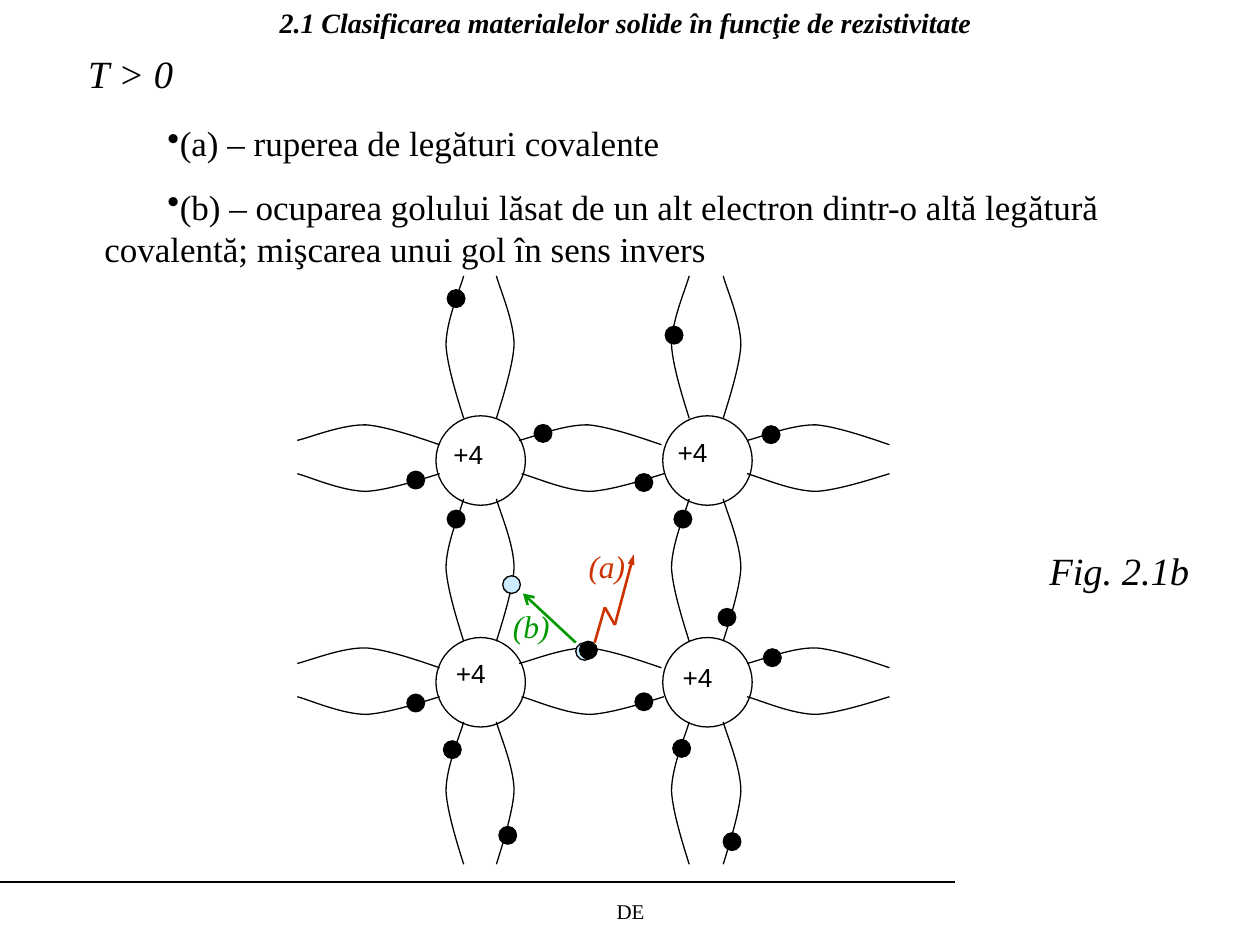
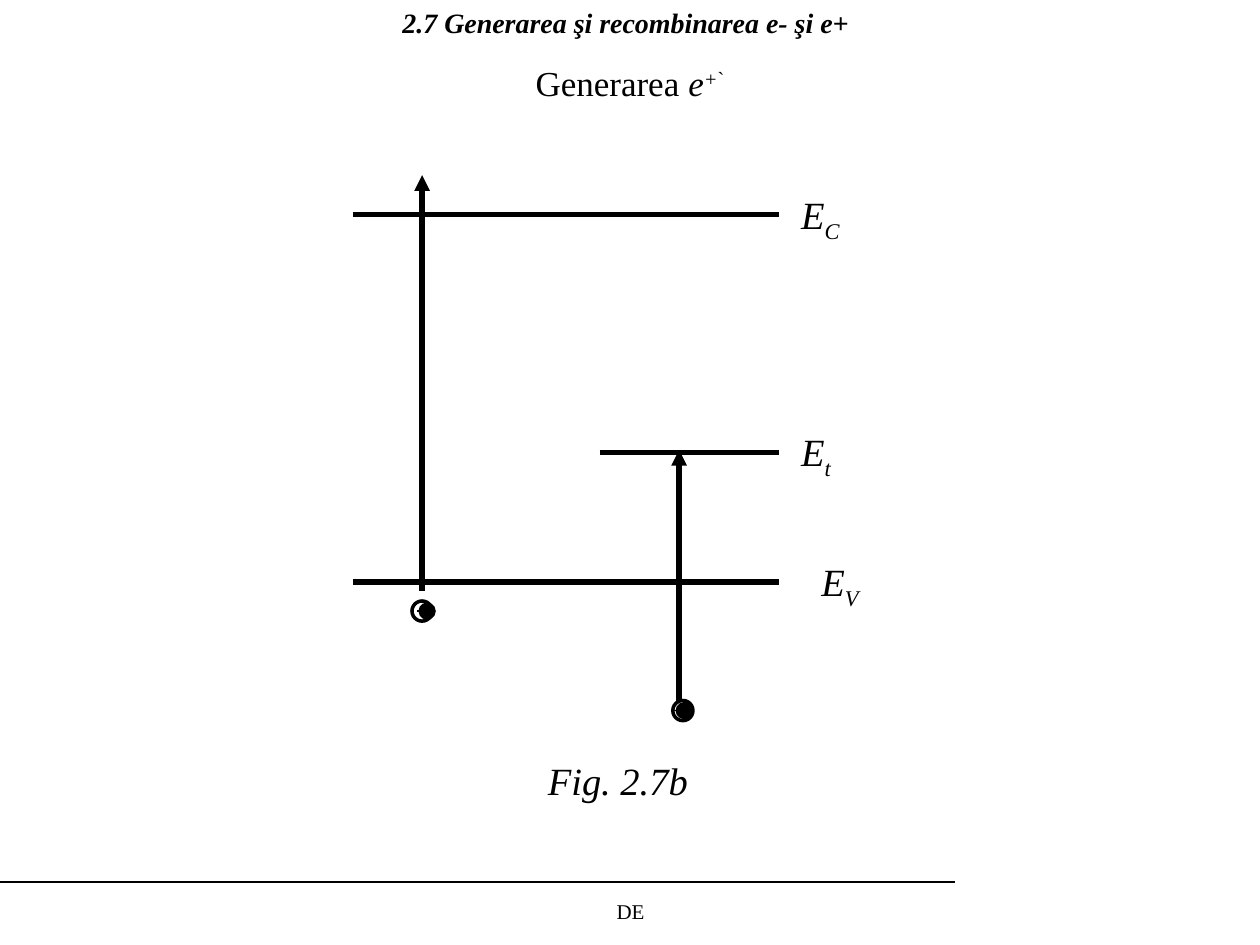
from lxml import etree
from pptx import Presentation
from pptx.dml.color import RGBColor
from pptx.enum.shapes import MSO_CONNECTOR, MSO_SHAPE
from pptx.enum.text import MSO_ANCHOR, PP_ALIGN
from pptx.oxml.ns import qn
from pptx.util import Inches, Pt

SERIF, SANS = "Times New Roman", "Arial"
BLACK, WHITE, HOLE_BLUE, GREEN, RED = "000000", "FFFFFF", "CCECFF", "009900", "CC3300"

LATTICE_TITLE = "2.1 Clasificarea materialelor solide în funcţie de rezistivitate"
PROCESSES = [
    "(a) – ruperea de legături covalente",
    "(b) – ocuparea golului lăsat de un alt electron dintr-o altă legătură "
    "covalentă; mişcarea unui gol în sens invers",
]
LATTICE_LABELS = [
    ("T > 0", (0.6, 0.35, 1.05, 0.47)),
    ("Fig. 2.1b", (8.23, 4.29, 1.5, 0.47)),
]
STEP_LABELS = [
    ("(b)", (3.87, 4.77, 0.59, 0.4), GREEN),
    ("(a)", (4.47, 4.29, 0.59, 0.4), RED),
]
ION_CHARGE = "+4"
CHARGE_PLACES = [(3.5, 3.43), (5.28, 3.41), (5.32, 5.2), (3.52, 5.17)]
ION_COLUMNS, ION_ROWS, ION_SIZE = (3.46, 5.26), (3.3, 5.06), 0.71

BOND_ALONG = (0, 0.1, 0.4, 0.58, 0.77, 1.02, 1.13)
BOND_BULGE = (0, 0.03, 0.13, 0.14, 0.14, 0.03, 0)
UP, LEFT = (0, -1), (-1, 0)
BONDS = [
    {"run": UP, "out": (-1, 0), "tilt": 0, "xs": (3.68, 5.47), "ys": (3.32, 5.09, 6.86)},
    {"run": UP, "out": (1, 0), "tilt": 0, "xs": (3.94, 5.74), "ys": (3.32, 5.09, 6.86)},
    {"run": LEFT, "out": (0, -1), "tilt": 0.03, "xs": (3.49, 5.25, 7.06), "ys": (3.53, 5.3)},
    {"run": LEFT, "out": (0, 1), "tilt": 0, "xs": (3.49, 5.27, 7.06), "ys": (3.76, 5.53)},
]
ELECTRON_SIZE = 0.14
ELECTRONS = [
    (3.23, 3.74), (3.23, 5.51), (3.96, 6.56), (5.74, 6.61), (5.35, 4.05), (5.7, 4.83),
    (3.55, 4.05), (5.28, 2.59), (3.55, 2.3), (6.05, 3.38), (6.06, 5.15), (5.04, 3.76),
    (5.04, 5.5), (4.24, 3.37), (3.52, 5.88), (5.34, 5.87),
]
FREED_ELECTRON = (4.6, 5.09)
HOLES = [(4.57, 5.1), (3.99, 4.57)]
HOLE_FILLING = ((4.57, 5.1), (4.15, 4.71))
BOND_BREAKING = [(4.72, 5.1), (4.8, 4.82), (4.88, 4.96), (5.03, 4.4)]

GENERATION_TITLE = "2.7 Generarea şi recombinarea e- şi e+"
GENERATION_HEADING = [
    ("Generarea ", False, 0), ("e", True, 0), ("+", True, 30), ("`", False, 30),
]
ENERGY_LEVELS = [
    ("C", 2.8, 1.7, (6.26, 1.47)),
    ("t", 4.76, 3.59, (6.26, 3.35)),
    ("V", 2.8, 4.62, (6.42, 4.38)),
]
LEVEL_END = 6.18
TRANSITIONS = [((3.35, 4.69), (3.35, 1.39)), ((5.39, 5.56), (5.39, 3.57))]
HOLE_PLACES = [(3.27, 4.77, 3.31), (5.34, 5.56, 5.35)]
HOLE_SIZE = 0.16
GENERATION_CAPTION = ("Fig. 2.7b", (4.25, 5.96, 1.49, 0.47))


def rgb(hex_color):
    return RGBColor.from_string(hex_color)


def add_text(slide, box, paragraphs, size, color=BLACK, font=SERIF, bold=None,
             italic=None, align=None, anchor=MSO_ANCHOR.TOP):
    """Add a text box; a paragraph is a string or a list of (text, italic, baseline)."""
    frame = slide.shapes.add_textbox(*map(Inches, box)).text_frame
    frame.word_wrap = True
    frame.vertical_anchor = anchor
    for index, content in enumerate(paragraphs):
        paragraph = frame.add_paragraph() if index else frame.paragraphs[0]
        paragraph.alignment = align
        runs = [(content, None, 0)] if isinstance(content, str) else content
        for words, slanted, baseline in runs:
            run = paragraph.add_run()
            run.text = words
            run.font.italic = slanted
            if baseline:
                run.font._element.set("baseline", str(baseline * 1000))
        style_font(paragraph.font, size, color, font, bold, italic)
    return frame


def style_font(font, size, color, name, bold, italic):
    font.size, font.name, font.bold, font.italic = Pt(size), name, bold, italic
    font.color.rgb = rgb(color)


def add_line(slide, start, end, color=BLACK, width=0.75, tip=None, tip_width="med", tip_length="med"):
    connector = slide.shapes.add_connector(
        MSO_CONNECTOR.STRAIGHT, *map(Inches, (*start, *end)))
    connector.line.color.rgb = rgb(color)
    connector.line.width = Pt(width)
    if tip:
        etree.SubElement(connector.line._get_or_add_ln(), qn("a:tailEnd"),
                         type=tip, w=tip_width, len=tip_length)
    etree.SubElement(connector._element.spPr, qn("a:effectLst"))


def outline(shape, fill, width):
    shape.shadow.inherit = False
    if fill:
        shape.fill.solid()
        shape.fill.fore_color.rgb = rgb(fill)
    else:
        shape.fill.background()
    shape.line.color.rgb = rgb(BLACK)
    shape.line.width = Pt(width)


def add_circle(slide, place, size, fill=None, width=0.75):
    circle = slide.shapes.add_shape(
        MSO_SHAPE.OVAL, *map(Inches, (*place, size, size)))
    outline(circle, fill, width)


def add_curve(slide, points):
    """Draw a chain of cubic curves through a start point and triples of points."""
    corners = [(Inches(x), Inches(y)) for x, y in points]
    builder = slide.shapes.build_freeform(*corners[0])
    builder.add_line_segments(corners[1:], close=False)
    curve = builder.convert_to_shape()
    segments = list(curve._element.iter(qn("a:lnTo")))
    for first in range(0, len(segments), 3):
        bezier = etree.Element(qn("a:cubicBezTo"))
        segments[first].addprevious(bezier)
        for segment in segments[first:first + 3]:
            bezier.append(segment[0])
            segment.getparent().remove(segment)
    outline(curve, None, 0.75)


def add_bond(slide, x, y, run, out, tilt):
    add_curve(slide, [
        (x + run[0] * along + out[0] * (bulge + tilt * along),
         y + run[1] * along + out[1] * (bulge + tilt * along))
        for along, bulge in zip(BOND_ALONG, BOND_BULGE)])


def start_slide(deck, title):
    slide = deck.slides.add_slide(deck.slide_layouts[6])
    add_line(slide, (0, 7), (7.58, 7))
    add_text(slide, (3.42, 7.08, 3.17, 0.27), ["DE"], 12, align=PP_ALIGN.CENTER)
    add_text(slide, (0.32, 0, 9.29, 0.36), [title], 16, bold=True, italic=True,
             align=PP_ALIGN.CENTER, anchor=MSO_ANCHOR.MIDDLE)
    return slide


def add_processes(slide):
    frame = add_text(slide, (0.5, 0.75, 9.5, 1.44), PROCESSES, 20)
    for paragraph in frame.paragraphs:
        properties = paragraph._p.get_or_add_pPr()
        properties.set("marL", str(Inches(0.23)))
        properties.set("indent", str(Inches(0.5)))
        bullet = etree.Element(qn("a:buChar"), char="•")
        properties.find(qn("a:defRPr")).addprevious(bullet)
    broken, filled = frame.paragraphs
    broken.line_spacing = 1.5
    filled.space_before = Pt(12.5)


def build_lattice(deck):
    slide = start_slide(deck, LATTICE_TITLE)
    add_processes(slide)
    for label, box in LATTICE_LABELS:
        add_text(slide, box, [label], 22, italic=True)
    for bond in BONDS:
        for x in bond["xs"]:
            for y in bond["ys"]:
                add_bond(slide, x, y, bond["run"], bond["out"], bond["tilt"])
    for x in ION_COLUMNS:
        for y in ION_ROWS:
            add_circle(slide, (x, y), ION_SIZE)
    for place in CHARGE_PLACES:
        add_text(slide, (*place, 0.96, 0.42), [ION_CHARGE], 15, font=SANS)
    for place in ELECTRONS:
        add_circle(slide, place, ELECTRON_SIZE, BLACK)
    for place in HOLES:
        add_circle(slide, place, ELECTRON_SIZE, HOLE_BLUE)
    add_line(slide, *HOLE_FILLING, GREEN, 1.5, "arrow")
    last = len(BOND_BREAKING) - 2
    for index, ends in enumerate(zip(BOND_BREAKING, BOND_BREAKING[1:])):
        add_line(slide, *ends, RED, 1.5, "triangle" if index == last else None, "sm")
    for label, box, color in STEP_LABELS:
        add_text(slide, box, [label], 18, color, italic=True, align=PP_ALIGN.RIGHT)
    add_circle(slide, FREED_ELECTRON, ELECTRON_SIZE, BLACK)


def build_generation(deck):
    slide = start_slide(deck, GENERATION_TITLE)
    add_text(slide, (0, 0.44, 10, 0.44), [GENERATION_HEADING], 20, align=PP_ALIGN.CENTER)
    for x, y, dot_start in HOLE_PLACES:
        add_circle(slide, (x, y), HOLE_SIZE, WHITE, 2)
        middle = y + HOLE_SIZE / 2
        add_line(slide, (dot_start, middle), (dot_start + 0.08, middle),
                 tip="oval", tip_width="lg", tip_length="lg")
    for band, start, y, place in ENERGY_LEVELS:
        add_line(slide, (start, y), (LEVEL_END, y), width=3)
        add_text(slide, (*place, 1.49, 0.52), [[("E", None, 0), (band, None, -25)]],
                 22, italic=True)
    for ends in TRANSITIONS:
        add_line(slide, *ends, width=3, tip="triangle")
    caption, box = GENERATION_CAPTION
    add_text(slide, box, [caption], 22, italic=True)


def main():
    deck = Presentation()
    deck.slide_width, deck.slide_height = Inches(10), Inches(7.5)
    build_lattice(deck)
    build_generation(deck)
    deck.save("out.pptx")


if __name__ == "__main__":
    main()
